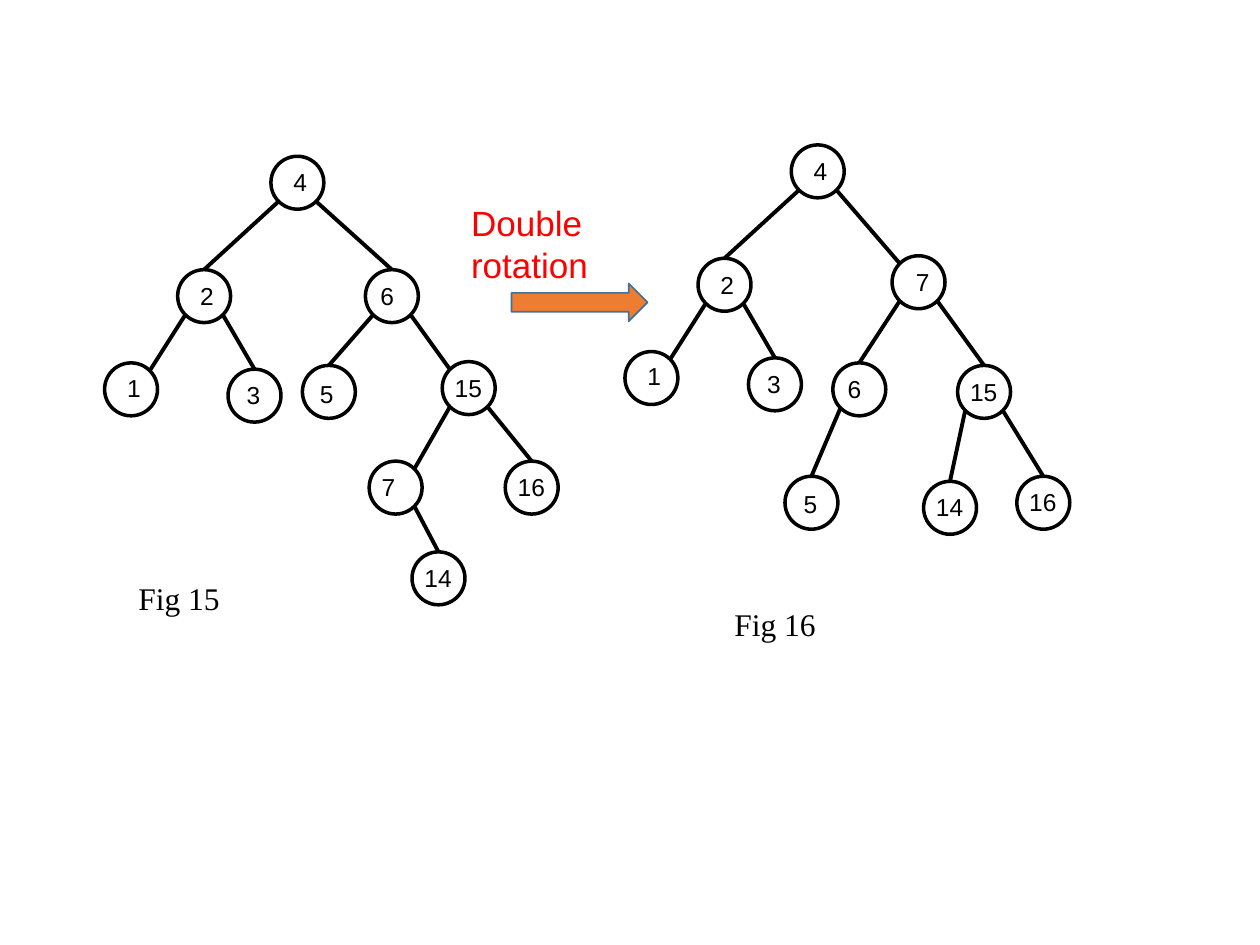
"""Build a slide that shows a double rotation between two binary search trees."""
import pptx
import pptx.dml.color
import pptx.enum.shapes
import pptx.oxml
import pptx.util

Inches = pptx.util.Inches
SHAPES = pptx.enum.shapes.MSO_SHAPE
COLORS = {"ink": "000000", "accent": "FF0000", "arrow": "ED7D31", "arrow_edge": "42719B"}
DIAMETER = 0.42
RADIUS = DIAMETER / 2
DIAGONAL = 0.15
LABEL_HEIGHT = 0.34

# label: (left, top, label offset x, label offset y, label width, parent, joint)
TREES = [
    {
        "4": (2.15, 1.24, 0.08, 0.04, 0.33, None, None),
        "2": (1.41, 2.14, 0.08, 0.04, 0.33, "4", "top"),
        "6": (2.90, 2.14, 0.02, 0.04, 0.33, "4", "top"),
        "1": (0.83, 2.88, 0.08, 0.03, 0.25, "2", "corner"),
        "3": (1.81, 2.93, 0.05, 0.04, 0.33, "2", "top"),
        "5": (2.40, 2.90, 0.04, 0.06, 0.33, "6", "top"),
        "15": (3.51, 2.87, 0, 0.04, 0.42, "6", "corner"),
        "7": (2.93, 3.66, 0, 0.04, 0.42, "15", "corner"),
        "16": (4.01, 3.66, 0, 0.04, 0.42, "15", "top"),
        "14": (3.27, 4.38, 0, 0.04, 0.42, "7", "top"),
    },
    {
        "4": (6.28, 1.15, 0.08, 0.04, 0.33, None, None),
        "2": (5.54, 2.05, 0.08, 0.04, 0.33, "4", "top"),
        "7": (7.08, 2.03, 0.09, 0.04, 0.42, "4", "corner"),
        "1": (4.96, 2.79, 0.08, 0.03, 0.25, "2", "corner"),
        "3": (5.94, 2.84, 0.05, 0.04, 0.33, "2", "top"),
        "6": (6.61, 2.88, 0.02, 0.04, 0.33, "7", "top"),
        "15": (7.60, 2.90, 0, 0.04, 0.42, "7", "top"),
        "5": (6.23, 3.78, 0.05, 0.05, 0.33, "6", "top"),
        "14": (7.33, 3.82, 0, 0.04, 0.42, "15", "top"),
        "16": (8.07, 3.78, 0, 0.04, 0.42, "15", "top"),
    },
]
NODE_FONT = {"name": "Arial", "size": pptx.util.Pt(14)}
CAPTION_FONT = {"name": "Times New Roman", "size": pptx.util.Pt(18)}
ACTION_FONT = {"name": "Arial", "size": pptx.util.Pt(20)}
CAPTIONS = [
    ("Fig 15", (1, 4.55, 1.25, 0.4), CAPTION_FONT, "ink"),
    ("Fig 16", (5.73, 4.75, 1.25, 0.4), CAPTION_FONT, "ink"),
    ("Double rotation", (3.64, 1.55, 2.05, 0.43), ACTION_FONT, "accent"),
]
ARROW = (4.06, 2.25, 1.08, 0.3)


def rgb(name):
    return pptx.dml.color.RGBColor.from_string(COLORS[name])


def set_line(shape, name, width):
    shape.line.color.rgb = rgb(name)
    shape.line.width = pptx.util.Pt(width)


def add_text(page, text, place, font, color):
    box = page.shapes.add_textbox(*map(Inches, place))
    box.text_frame.word_wrap = True
    span = box.text_frame.paragraphs[0].add_run()
    span.text = text
    span.font.color.rgb = rgb(color)
    for key, value in font.items():
        setattr(span.font, key, value)


def add_node(page, label, node):
    left, top, shift_x, shift_y, width = node[:5]
    circle = page.shapes.add_shape(
        SHAPES.OVAL, *map(Inches, (left, top, DIAMETER, DIAMETER)))
    circle.shadow.inherit = False
    circle.fill.background()
    set_line(circle, "ink", 2)
    place = (left + shift_x, top + shift_y, width, LABEL_HEIGHT)
    add_text(page, label, place, NODE_FONT, "ink")


def add_edge(page, parent, child):
    side = 1 if child[0] > parent[0] else -1
    start_x = parent[0] + RADIUS + side * DIAGONAL
    start_y = parent[1] + RADIUS + DIAGONAL
    end_x, end_y = child[0] + RADIUS, child[1]
    if child[6] == "corner":
        end_x -= side * DIAGONAL
        end_y += RADIUS - DIAGONAL
    edge = page.shapes.add_connector(
        pptx.enum.shapes.MSO_CONNECTOR.STRAIGHT,
        *map(Inches, (start_x, start_y, end_x, end_y)))
    set_line(edge, "ink", 2.25)
    effects = pptx.oxml.parse_xml(
        '<a:effectLst xmlns:a="http://schemas.openxmlformats.org/drawingml/2006/main"/>')
    edge._element.spPr.append(effects)


def main():
    deck = pptx.Presentation()
    deck.slide_width, deck.slide_height = Inches(10), Inches(7.5)
    page = deck.slides.add_slide(deck.slide_layouts[6])
    for tree in TREES:
        for label, node in tree.items():
            add_node(page, label, node)
            if node[5]:
                add_edge(page, tree[node[5]], node)
    for caption in CAPTIONS:
        add_text(page, *caption)
    arrow = page.shapes.add_shape(SHAPES.RIGHT_ARROW, *map(Inches, ARROW))
    arrow.shadow.inherit = False
    arrow.fill.solid()
    arrow.fill.fore_color.rgb = rgb("arrow")
    set_line(arrow, "arrow_edge", 1)
    deck.save("out.pptx")


if __name__ == "__main__":
    main()
